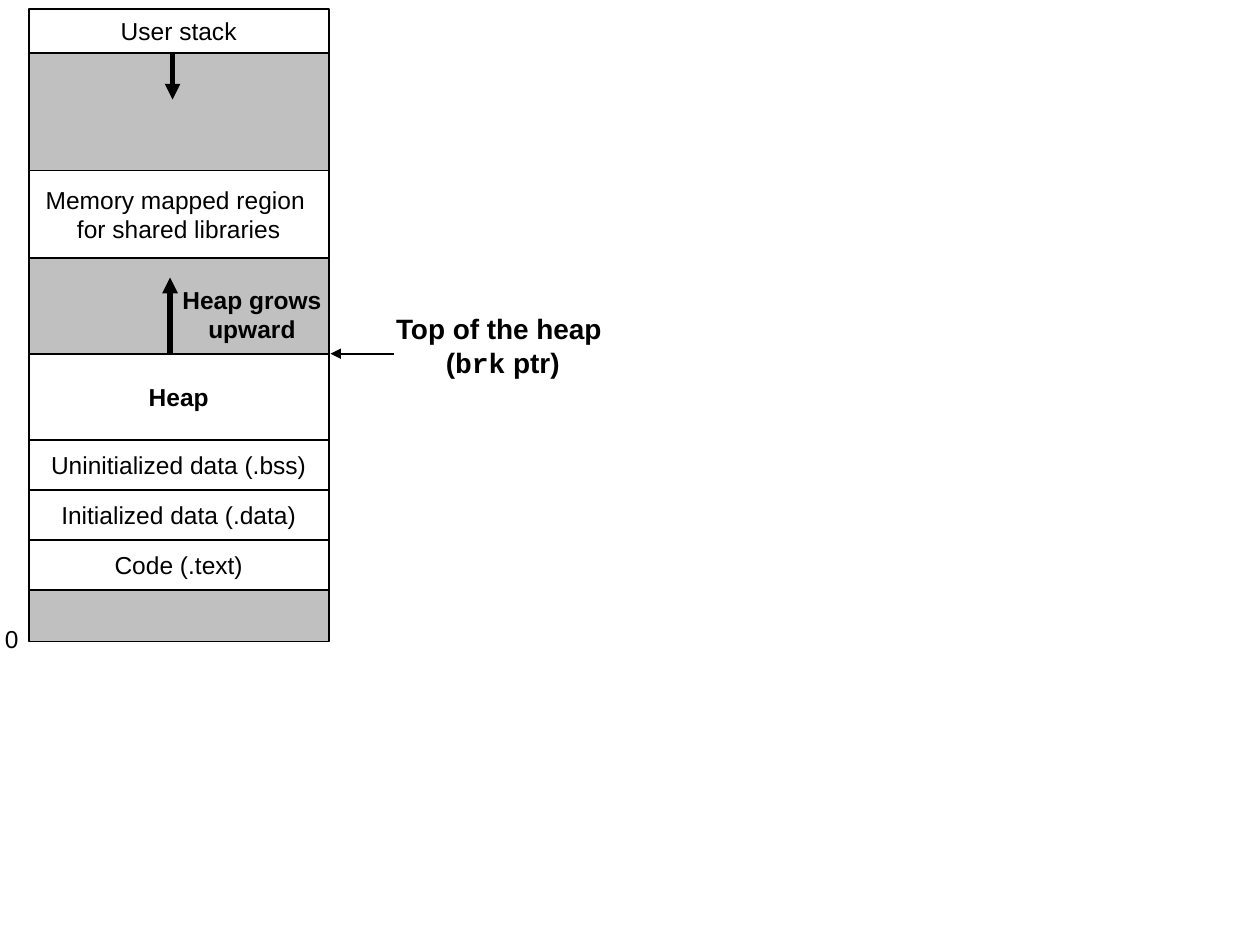
from pptx import Presentation
from pptx.dml.color import RGBColor
from pptx.enum.shapes import MSO_CONNECTOR, MSO_SHAPE
from pptx.enum.text import MSO_ANCHOR, MSO_AUTO_SIZE, PP_ALIGN
from pptx.oxml.ns import qn
from pptx.util import Pt
from lxml.etree import SubElement

COLORS = {"ink": "000000", "used": "FFFFFF", "free": "C0C0C0"}

# Memory regions from high to low addresses: height, fill, bold, lines
REGIONS = [
    (25.2, "used", False, ["User stack"]),
    (67.2, "free", False, []),
    (50.3, "used", False, ["Memory mapped region ", "for shared libraries"]),
    (54.4, "free", False, []),
    (49.3, "used", True, ["Heap"]),
    (28.6, "used", False, ["Uninitialized data (.bss)"]),
    (28.6, "used", False, ["Initialized data (.data)"]),
    (28.6, "used", False, ["Code (.text)"]),
    (29.4, "free", False, []),
]
STACK_LEFT, STACK_TOP, STACK_WIDTH = 16.4, 5, 171.4

# Labels: box, size, bold, alignment, anchor, lines of (text, font) runs
LABELS = [
    ((-4.3, 352.8, 22.3, 23.8), 14, False, PP_ALIGN.LEFT, MSO_ANCHOR.TOP,
     [[("0", "Arial")]]),
    ((218.2, 174.2, 138.2, 46.1), 16, True, PP_ALIGN.CENTER, MSO_ANCHOR.MIDDLE,
     [[("Top of the heap ", "Arial")],
      [("(", "Arial"), ("brk", "Courier New"), (" ptr)", "Arial")]]),
    ((96.5, 159.1, 95, 41), 14, True, PP_ALIGN.CENTER, MSO_ANCHOR.MIDDLE,
     [[("Heap grows", "Arial")], [("upward", "Arial")]]),
]

# Arrows: start, end, line width
ARROWS = [
    ((97.2, 203), (97.2, 158.6), 3),      # heap growth
    ((98.6, 30.2), (98.6, 56.9), 3),      # stack growth
    ((224.9, 202.1), (188.9, 202.1), 1),  # brk pointer
]


def color(name):
    return RGBColor.from_string(COLORS[name])


def write_lines(shape, lines, size, bold, alignment, anchor):
    frame = shape.text_frame
    frame.word_wrap = False
    frame.vertical_anchor = anchor
    for index, runs in enumerate(lines):
        paragraph = frame.add_paragraph() if index else frame.paragraphs[0]
        paragraph.alignment = alignment
        for text, font_name in runs:
            run = paragraph.add_run()
            run.text = text
            values = {"name": font_name, "size": Pt(size), "bold": bold}
            for attribute, value in values.items():
                setattr(run.font, attribute, value)
            run.font.color.rgb = color("ink")


def add_region(slide, top, height, fill, bold, lines):
    shape = slide.shapes.add_shape(
        MSO_SHAPE.RECTANGLE, Pt(STACK_LEFT), Pt(top), Pt(STACK_WIDTH), Pt(height))
    shape.shadow.inherit = False
    shape.fill.solid()
    shape.fill.fore_color.rgb = color(fill)
    shape.line.color.rgb = color("ink")
    shape.line.width = Pt(1)
    write_lines(shape, [[(line, "Arial")] for line in lines],
                14, bold, PP_ALIGN.CENTER, MSO_ANCHOR.MIDDLE)


def add_label(slide, box, size, bold, alignment, anchor, lines):
    label = slide.shapes.add_textbox(*map(Pt, box))
    write_lines(label, lines, size, bold, alignment, anchor)
    label.text_frame.auto_size = MSO_AUTO_SIZE.SHAPE_TO_FIT_TEXT


def add_arrow(slide, start, end, width):
    arrow = slide.shapes.add_connector(
        MSO_CONNECTOR.STRAIGHT, *map(Pt, start + end))
    arrow.line.color.rgb = color("ink")
    arrow.line.width = Pt(width)
    SubElement(arrow.line._get_or_add_ln(), qn("a:tailEnd"), type="triangle")
    SubElement(arrow._element.spPr, qn("a:effectLst"))


def main():
    presentation = Presentation()
    presentation.slide_width, presentation.slide_height = Pt(720), Pt(540)
    slide = presentation.slides.add_slide(presentation.slide_layouts[6])

    # Memory column, stacked downwards
    top = STACK_TOP
    for height, fill, bold, lines in REGIONS:
        add_region(slide, top, height, fill, bold, lines)
        top += height

    # Arrows and labels on top
    for arrow in ARROWS:
        add_arrow(slide, *arrow)
    for label in LABELS:
        add_label(slide, *label)

    presentation.save("out.pptx")


if __name__ == "__main__":
    main()
